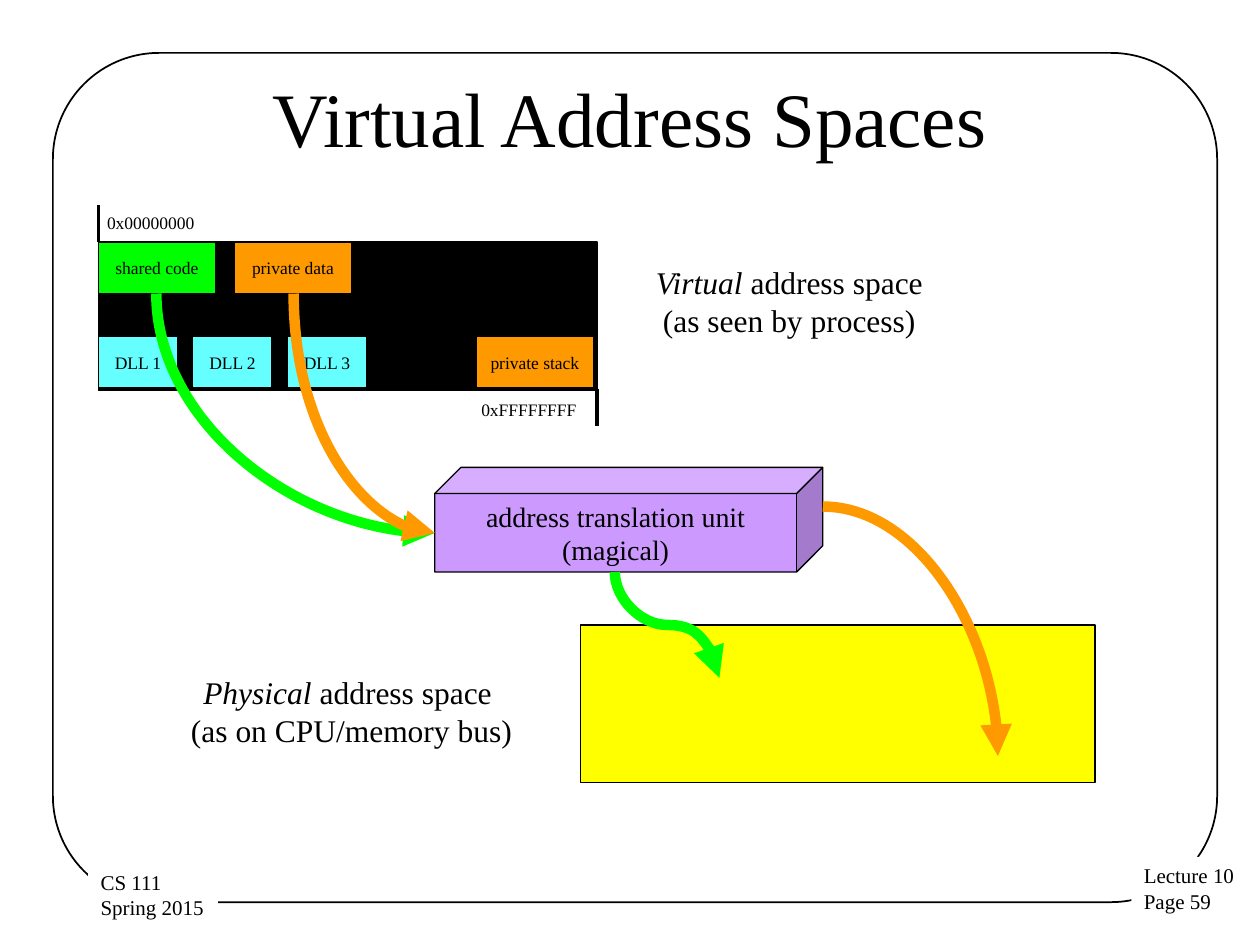
from dataclasses import dataclass

from lxml.etree import SubElement
from pptx import Presentation
from pptx.dml.color import RGBColor
from pptx.enum.shapes import MSO_CONNECTOR, MSO_SHAPE
from pptx.enum.text import MSO_ANCHOR, PP_ALIGN
from pptx.oxml.ns import qn
from pptx.util import Pt

EMU_PER_PX = 9144  # 100 px to the inch


@dataclass(frozen=True)
class Theme:
    font: str = "Times New Roman"
    title: int = 44
    caption: int = 18
    unit: int = 16
    footer: int = 12
    label: int = 10
    ink: str = "000000"
    paper: str = "FFFFFF"
    shared: str = "00FF00"
    private: str = "FF9900"
    library: str = "66FFFF"
    physical: str = "FFFF00"
    translator: str = "CC99FF"
    outline: float = 0.75
    frame: float = 1
    flow: float = 6


THEME = Theme()


def px(*lengths):
    return [round(length * EMU_PER_PX) for length in lengths]


def rgb(value):
    return RGBColor.from_string(value)


def write(shape, lines, size, align=PP_ALIGN.LEFT, anchor=MSO_ANCHOR.TOP,
          inset=(10, 5), wrap=False):
    """Fill a shape with lines; a line is a string or a pair (italic, upright)."""
    frame = shape.text_frame
    frame.word_wrap = wrap
    frame.vertical_anchor = anchor
    frame.margin_left = frame.margin_right = px(inset[0])[0]
    frame.margin_top = frame.margin_bottom = px(inset[1])[0]
    for index, line in enumerate(lines):
        paragraph = frame.paragraphs[0] if index == 0 else frame.add_paragraph()
        paragraph.alignment = align
        paragraph.font.name = THEME.font
        paragraph.font.size = Pt(size)
        paragraph.font.color.rgb = rgb(THEME.ink)
        if isinstance(line, str):
            paragraph.add_run().text = line
        else:
            for text, italic in zip(line, (True, False)):
                run = paragraph.add_run()
                run.text = text
                run.font.italic = italic


def add_text(slide, box, lines, size, **layout):
    text_box = slide.shapes.add_textbox(*px(*box))
    write(text_box, lines, size, **layout)
    return text_box


def add_block(slide, box, fill=None, outline=THEME.outline, preset=MSO_SHAPE.RECTANGLE):
    block = slide.shapes.add_shape(preset, *px(*box))
    block.shadow.inherit = False
    if fill:
        block.fill.solid()
        block.fill.fore_color.rgb = rgb(fill)
    else:
        block.fill.background()
    block.line.color.rgb = rgb(THEME.ink)
    block.line.width = Pt(outline)
    return block


def add_line(slide, kind, ends, color, width):
    line = slide.shapes.add_connector(kind, *px(*ends))
    line.line.color.rgb = rgb(color)
    line.line.width = Pt(width)
    SubElement(line._element.spPr, qn("a:effectLst"))
    return line


def add_flow(slide, start, end, color, leaves_down=True, bends=1):
    """Curved arrow that leaves its start downwards or to the right."""
    (x1, y1), (x2, y2) = start, end
    ends = (x1, y1, x2, y2)
    if leaves_down:
        # The turned box swaps width and height around the same centre.
        width, height = y2 - y1, x2 - x1
        left, top = (x1 + x2 - width) / 2, (y1 + y2 - height) / 2
        ends = (left, top, left + width, top + height)
    flow = add_line(slide, MSO_CONNECTOR.CURVE, ends, color, THEME.flow)
    properties = flow._element.spPr
    properties.find(qn("a:prstGeom")).set("prst", f"curvedConnector{bends + 1}")
    if leaves_down:
        turn = properties.find(qn("a:xfrm"))
        turn.set("rot", str(270 * 60000))
        turn.set("flipH", "1")
    SubElement(properties.find(qn("a:ln")), qn("a:tailEnd"), type="triangle")


def add_page_frame(slide, box):
    left, top, width, height = box
    border = add_block(slide, box, outline=THEME.frame, preset=MSO_SHAPE.ROUNDED_RECTANGLE)
    border.adjustments[0] = 0.125
    footers = (
        ((856, 638, 93, 51), ("Lecture 10", "Page 59")),
        ((28, 643, 103, 51), ("CS 111", "Spring 2015")),
    )
    for (dx, dy, w, h), lines in footers:
        footer = add_text(slide, (left + dx, top + dy, w, h), lines, THEME.footer)
        footer.fill.solid()
        footer.fill.fore_color.rgb = rgb(THEME.paper)


def add_title(slide, box):
    add_text(slide, box, ["Virtual Address Spaces"], THEME.title,
             align=PP_ALIGN.CENTER, anchor=MSO_ANCHOR.MIDDLE, wrap=True)


def add_virtual_space(slide, box):
    left, top, width, height = box
    add_block(slide, box, THEME.ink)
    tick = 29
    for x, y in ((left, top - tick), (left + width, top + height - 1)):
        add_line(slide, MSO_CONNECTOR.STRAIGHT, (x, y, x, y + tick), THEME.ink, 0)
    for dx, dy, w, address in ((7, -24, 70, "0x00000000"), (304, 125, 77, "0xFFFFFFFF")):
        add_text(slide, (left + dx, top + dy, w, 17), [address], THEME.label, inset=(0, 0))

    lower_row, segment_width, library_width, library_pitch = 75, 93, 63, 75
    segments = [
        (0, 0, segment_width, THEME.shared, "shared code"),
        (108, 0, segment_width, THEME.private, "private data"),
        (300, lower_row, segment_width, THEME.private, "private stack"),
    ] + [
        (i * library_pitch, lower_row, library_width, THEME.library, f"DLL {i + 1}")
        for i in range(3)
    ]
    for dx, dy, w, fill, name in segments:
        segment = add_block(slide, (left + dx, top + dy, w, 41), fill)
        write(segment, [name], THEME.label, align=PP_ALIGN.CENTER,
              anchor=MSO_ANCHOR.MIDDLE, inset=(9, 4))


def add_translation_unit(slide, box):
    unit = add_block(slide, box, THEME.translator, preset=MSO_SHAPE.CUBE)
    unit.adjustments[0] = 0.25
    write(unit, ["address translation unit", "(magical)"], THEME.unit,
          align=PP_ALIGN.CENTER, anchor=MSO_ANCHOR.MIDDLE)


def add_caption(slide, box, kind, viewpoint):
    add_text(slide, box, [(f"{kind} ", "address space "), viewpoint], THEME.caption,
             align=PP_ALIGN.CENTER)


def add_flows(slide):
    unit_entry = (345, 423)
    add_flow(slide, (124, 233), unit_entry, THEME.shared)
    add_flow(slide, (488, 454), (571, 538), THEME.shared, bends=2)
    add_flow(slide, (233, 233), unit_entry, THEME.private)
    add_flow(slide, (653, 402), (792, 600), THEME.private, leaves_down=False)


def main():
    deck = Presentation()
    deck.slide_width, deck.slide_height = px(1000, 750)
    slide = deck.slides.add_slide(deck.slide_layouts[6])
    add_page_frame(slide, (42, 42, 924, 674))
    add_title(slide, (50, 30, 900, 125))
    add_virtual_space(slide, (78, 192, 396, 118))
    add_caption(slide, (508, 204, 237, 71), "Virtual", "(as seen by process)")
    add_block(slide, (461, 496, 408, 125), THEME.physical)
    add_caption(slide, (140, 529, 278, 71), "Physical", "(as on CPU/memory bus)")
    add_translation_unit(slide, (345, 371, 308, 83))
    add_flows(slide)
    deck.save("out.pptx")


if __name__ == "__main__":
    main()
